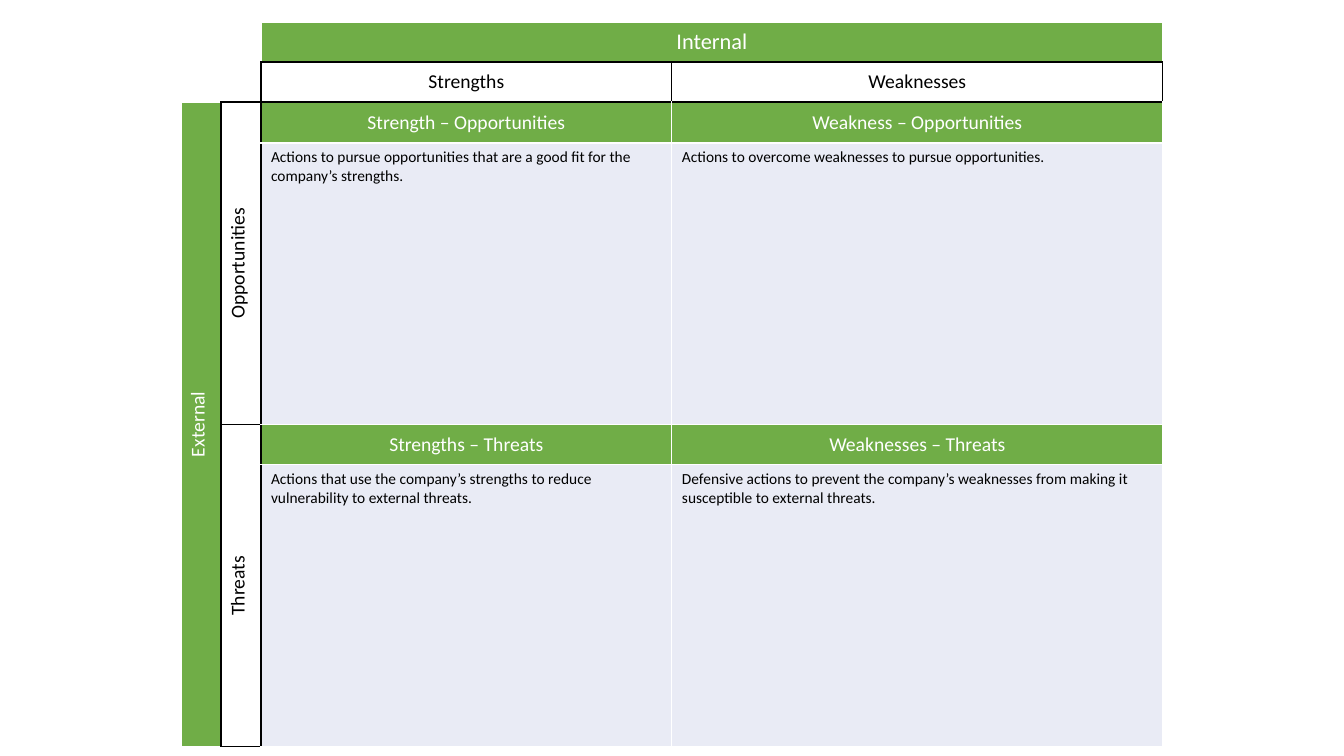
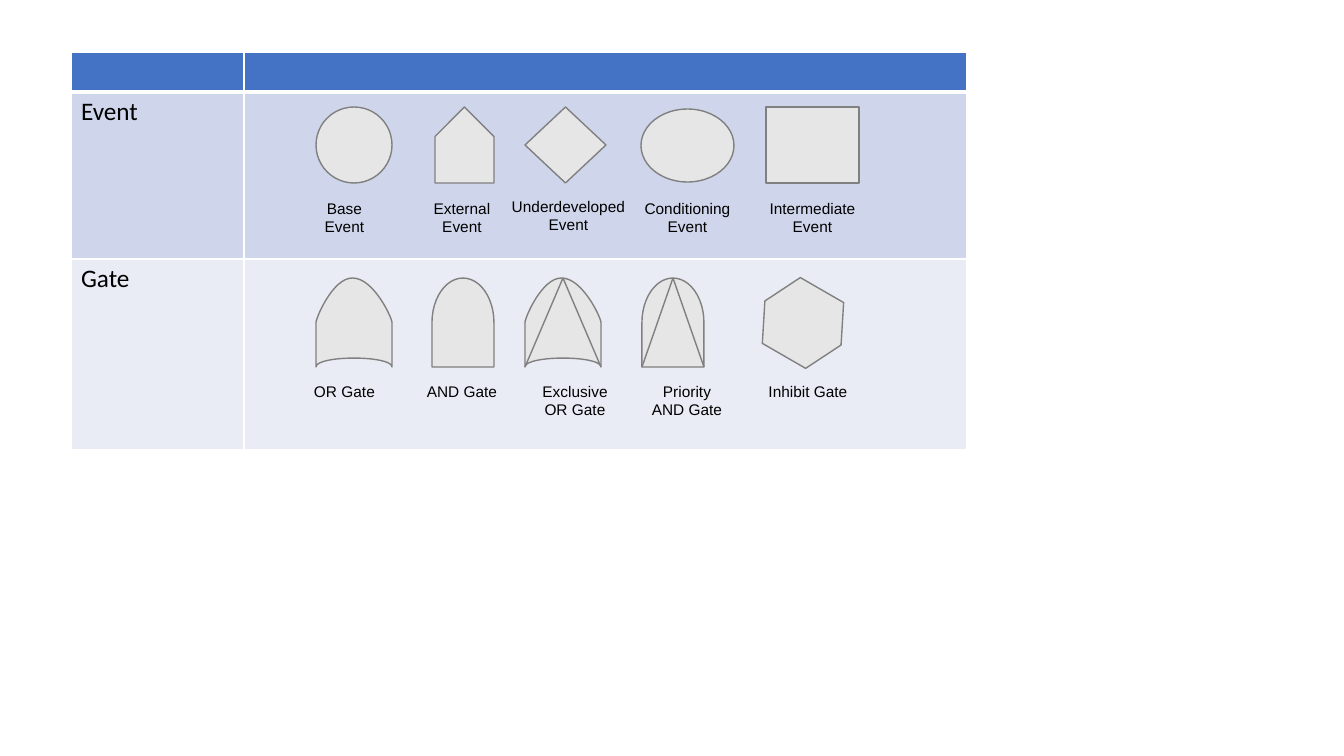
import dataclasses
import functools

import pptx
import pptx.dml.color
import pptx.enum.shapes
import pptx.enum.text
import pptx.oxml
import pptx.oxml.ns
import pptx.util

PIXEL = 914400 / 100.8
SHAPE = pptx.enum.shapes.MSO_SHAPE
ALIGN = pptx.enum.text.PP_ALIGN
ANCHOR = pptx.enum.text.MSO_ANCHOR


@dataclasses.dataclass(frozen=True)
class Theme:
    white: str = "FFFFFF"
    black: str = "000000"
    green: str = "70AD47"
    blue: str = "4472C4"
    band: str = "CFD5EA"
    pale: str = "E9EBF5"
    symbol: str = "E7E6E6"
    outline: str = "808080"
    body_font: str = "Calibri"
    label_font: str = "Arial"
    row_size: int = 18
    title_size: int = 16
    heading_size: int = 14
    note_size: int = 11
    line: float = 1
    thick_line: float = 3


THEME = Theme()


@dataclasses.dataclass(frozen=True)
class CellStyle:
    fill: str = None
    color: str = THEME.black
    size: int = THEME.heading_size
    centred: bool = True
    upright: bool = False
    dark: str = ""
    thick: str = ""


def emu(pixels):
    return pptx.util.Emu(round(pixels * PIXEL))


def rgb(value):
    return pptx.dml.color.RGBColor.from_string(value)


def write_text(frame, text, font, size, color, alignment):
    for index, line in enumerate(text.split("\n")):
        paragraph = frame.add_paragraph() if index else frame.paragraphs[0]
        paragraph.alignment = alignment
        run = paragraph.add_run()
        run.text = line
        run.font.name = font
        run.font.size = pptx.util.Pt(size)
        run.font.color.rgb = rgb(color)


def set_borders(cell, style):
    properties = cell._tc.get_or_add_tcPr()
    for index, side in enumerate("LRTB"):
        color = THEME.black if side in style.dark else THEME.white
        width = THEME.thick_line if side in style.thick else THEME.line
        properties.insert(index, pptx.oxml.parse_xml(
            f'<a:ln{side} {pptx.oxml.ns.nsdecls("a")} w="{pptx.util.Pt(width)}">'
            f'<a:solidFill><a:srgbClr val="{color}"/></a:solidFill></a:ln{side}>'))


def fill_cell(cell, text, style):
    if style.fill:
        cell.fill.solid()
        cell.fill.fore_color.rgb = rgb(style.fill)
    else:
        cell.fill.background()
    set_borders(cell, style)
    if not text:
        cell.margin_top = cell.margin_bottom = 0
        return
    if style.centred:
        cell.vertical_anchor = ANCHOR.MIDDLE
    if style.upright:
        cell._tc.get_or_add_tcPr().set("vert", "vert270")
    write_text(cell.text_frame, text, THEME.body_font, style.size, style.color,
               ALIGN.CENTER if style.centred else ALIGN.LEFT)


def add_grid(slide, left, top, columns, rows, cells, merges=()):
    frame = slide.shapes.add_table(len(rows), len(columns), emu(left), emu(top),
                                   emu(sum(columns)), emu(sum(rows)))
    table = frame.table
    table.first_row = table.horz_banding = False
    for column, width in zip(table.columns, columns):
        column.width = emu(width)
    for row, height in zip(table.rows, rows):
        row.height = emu(height)
    for first, last in merges:
        table.cell(*first).merge(table.cell(*last))
    for row, line in enumerate(cells):
        for column, (text, style) in enumerate(line):
            fill_cell(table.cell(row, column), text, style)


def swot_matrix(slide, left, top):
    blank = CellStyle(fill=THEME.white)
    corner = dataclasses.replace(blank, dark="RB")
    heading = CellStyle(dark="LRTB")
    side_heading = dataclasses.replace(heading, upright=True)
    banner = CellStyle(fill=THEME.green, color=THEME.white)
    internal = dataclasses.replace(banner, size=THEME.title_size, dark="B")
    external = dataclasses.replace(banner, upright=True, dark="R")
    note = CellStyle(fill=THEME.pale, size=THEME.note_size, centred=False)
    beside = functools.partial(dataclasses.replace, dark="L")
    cells = [
        [("", blank), ("", blank), ("Internal", internal), ("", internal)],
        [("", blank), ("", corner), ("Strengths", heading), ("Weaknesses", heading)],
        [("External", external), ("Opportunities", side_heading),
         ("Strength – Opportunities", dataclasses.replace(banner, dark="LT")),
         ("Weakness – Opportunities", dataclasses.replace(banner, dark="T"))],
        [("", external), ("", side_heading),
         ("Actions to pursue opportunities that are a good fit for the "
          "company’s strengths.", beside(note)),
         ("Actions to overcome weaknesses to pursue opportunities.", note)],
        [("", external), ("Threats", side_heading),
         ("Strengths – Threats", beside(banner)), ("Weaknesses – Threats", banner)],
        [("", external), ("", side_heading),
         ("Actions that use the company’s strengths to reduce vulnerability "
          "to external threats.", beside(note)),
         ("Defensive actions to prevent the company’s weaknesses from making it "
          "susceptible to external threats.", note)],
    ]
    merges = [((0, 2), (0, 3)), ((2, 0), (5, 0)), ((2, 1), (3, 1)), ((4, 1), (5, 1))]
    add_grid(slide, left, top, [40, 40, 411, 491], [40, 40, 41, 282, 40, 282],
             cells, merges)


def style_symbol(shape):
    shape.shadow.inherit = False
    shape.fill.solid()
    shape.fill.fore_color.rgb = rgb(THEME.symbol)
    shape.line.color.rgb = rgb(THEME.outline)
    shape.line.width = pptx.util.Pt(THEME.line)


def preset(kind, shapes, left, top, width, height, rotation=0):
    shape = shapes.add_shape(kind, emu(left), emu(top), emu(width), emu(height))
    shape.rotation = rotation
    style_symbol(shape)


def pointing_up(kind, shapes, left, top, width, height):
    shift = (width - height) / 2
    preset(kind, shapes, left + shift, top - shift, height, width, 270)


def curve(start, first, second, end, steps=16):
    for step in range(1, steps + 1):
        t = step / steps
        weights = ((1 - t) ** 3, 3 * t * (1 - t) ** 2, 3 * t * t * (1 - t), t ** 3)
        yield tuple(sum(w * point[axis] for w, point in
                        zip(weights, (start, first, second, end))) for axis in (0, 1))


def or_gate(shapes, left, top, width, height):
    outline = [
        (1, 1),
        *curve((1, 1), (1, 0.94), (0.78, 0.9), (0.5, 0.9)),
        *curve((0.5, 0.9), (0.22, 0.9), (0, 0.94), (0, 1)),
        (0, 0.5),
        *curve((0, 0.5), (0, 0.45), (0.22, 0), (0.48, 0)),
        *curve((0.48, 0), (0.76, 0), (1, 0.45), (1, 0.5)),
    ]
    points = [(emu(left + x * width), emu(top + y * height)) for x, y in outline]
    builder = shapes.build_freeform(*points[0], scale=1.0)
    builder.add_line_segments(points[1:], close=True)
    style_symbol(builder.convert_to_shape())


and_gate = functools.partial(pointing_up, SHAPE.FLOWCHART_DELAY)


def gate_with_peak(gate, shapes, left, top, width, height):
    group = shapes.add_group_shape()
    gate(group.shapes, left, top, width, height)
    apex, bottom = left + width / 2, top + height
    for start, end in [((left, bottom), (apex, top)),
                       ((apex, top), (left + width, bottom))]:
        line = group.shapes.add_connector(
            pptx.enum.shapes.MSO_CONNECTOR.STRAIGHT, *map(emu, start + end))
        line.line.color.rgb = rgb(THEME.outline)
        line.line.width = pptx.util.Pt(THEME.line)
        line._element.spPr.append(pptx.oxml.parse_xml(
            f'<a:effectLst {pptx.oxml.ns.nsdecls("a")}/>'))


def add_label(slide, text, left, top, width, height):
    box = slide.shapes.add_textbox(emu(left), emu(top), emu(width), emu(height))
    frame = box.text_frame
    frame.word_wrap = True
    frame.auto_size = pptx.enum.text.MSO_AUTO_SIZE.SHAPE_TO_FIT_TEXT
    write_text(frame, text, THEME.label_font, THEME.note_size, THEME.black, ALIGN.CENTER)


def symbol_row(slide, left, top, symbols):
    for draw, (x, y, *size), text, (label_x, label_y, *label_size) in symbols:
        draw(slide.shapes, left + x, top + y, *size)
        add_label(slide, text, left + label_x, top + label_y, *label_size)


def event_row(slide, left, top):
    ellipse = functools.partial(preset, SHAPE.OVAL)
    symbol_row(slide, left, top, [
        (ellipse, (72, 15, 76, 76), "Base Event", (58, 102, 85, 47)),
        (functools.partial(pointing_up, SHAPE.PENTAGON), (191, 15, 59, 76),
         "External\nEvent", (166, 102, 104, 47)),
        (functools.partial(preset, SHAPE.DIAMOND), (281, 15, 81, 76),
         "Underdeveloped\nEvent", (257, 100, 135, 47)),
        (ellipse, (397, 17, 93, 73), "Conditioning\nEvent", (387, 102, 113, 47)),
        (functools.partial(preset, SHAPE.RECTANGLE), (522, 15, 93, 76),
         "Intermediate Event", (512, 102, 113, 47)),
    ])


def gate_row(slide, left, top):
    symbol_row(slide, left, top, [
        (or_gate, (72, 19, 76, 89), "OR Gate", (58, 118, 85, 29)),
        (and_gate, (188, 19, 62, 89), "AND Gate", (166, 118, 104, 29)),
        (functools.partial(gate_with_peak, or_gate), (281, 19, 76, 89),
         "Exclusive OR Gate", (279, 118, 104, 47)),
        (functools.partial(gate_with_peak, and_gate), (398, 19, 62, 89),
         "Priority\nAND Gate", (391, 118, 104, 47)),
        (functools.partial(preset, SHAPE.HEXAGON, rotation=30), (515, 26, 88, 76),
         "Inhibit Gate", (512, 118, 104, 29)),
    ])


def fault_tree_symbols(slide, left, top):
    columns, rows = [173, 723], [40, 167, 191]
    header = CellStyle(fill=THEME.blue, thick="B")
    event = CellStyle(fill=THEME.band, size=THEME.row_size, centred=False)
    gate = dataclasses.replace(event, fill=THEME.pale)
    add_grid(slide, left, top, columns, rows, [
        [("", header), ("", header)],
        [("Event", event), ("", event)],
        [("Gate", gate), ("", gate)],
    ])
    event_row(slide, left + columns[0], top + rows[0])
    gate_row(slide, left + columns[0], top + rows[0] + rows[1])


presentation = pptx.Presentation()
presentation.slide_width = emu(1344)
presentation.slide_height = emu(756)
for build, left, top in [(swot_matrix, 181, 22), (fault_tree_symbols, 71, 52)]:
    build(presentation.slides.add_slide(presentation.slide_layouts[6]), left, top)
presentation.save("out.pptx")
